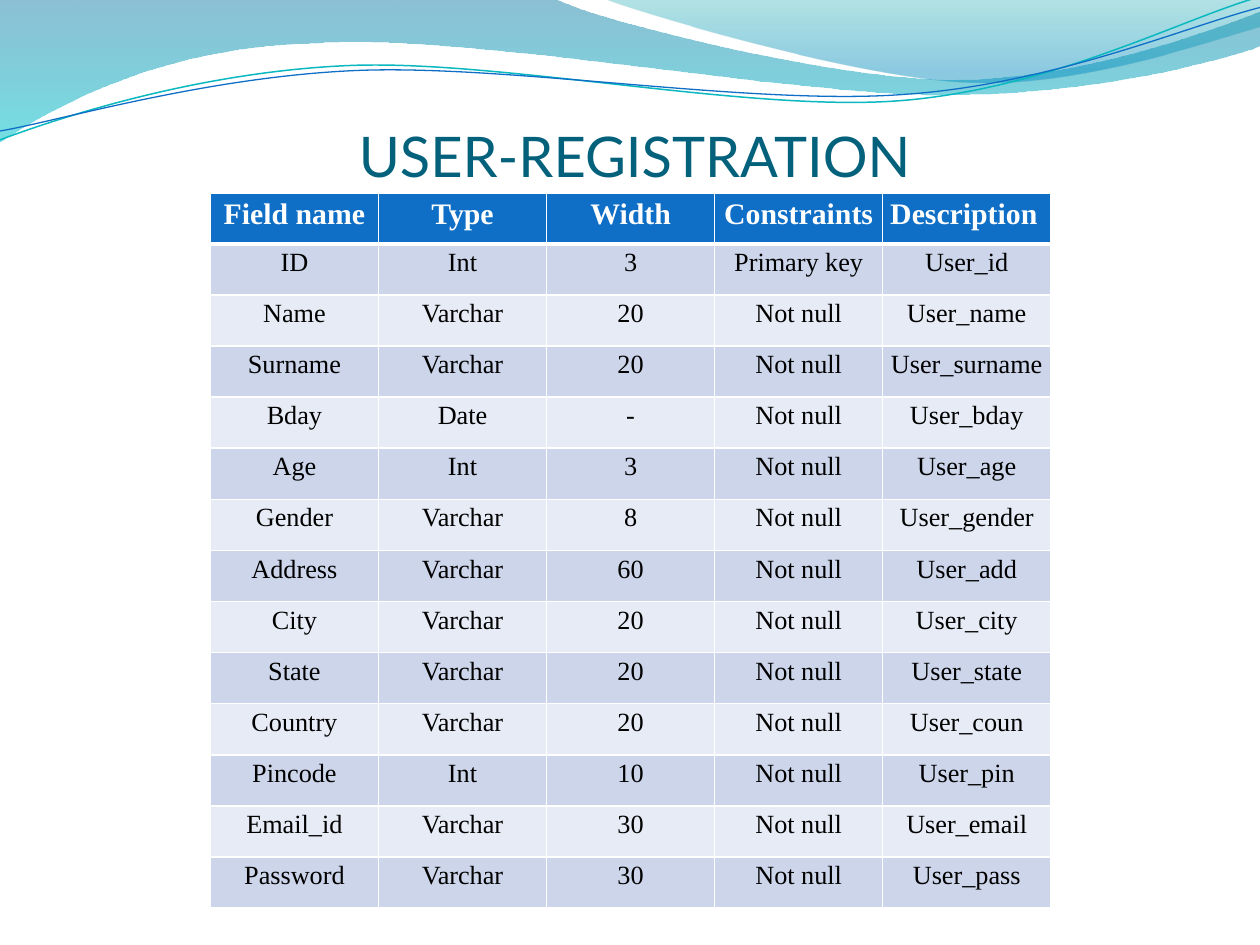
"""Build the user registration table slide with its wave header."""
from math import cos, radians, sin
from lxml.etree import SubElement
from pptx import Presentation
from pptx.dml.color import RGBColor
from pptx.enum.text import MSO_ANCHOR, PP_ALIGN
from pptx.oxml.ns import qn
from pptx.util import Inches, Pt


def color(value):
    return RGBColor.from_string(value)


def add_curve(slide, start, segments, closed, tilt=0, center=(0, 0)):
    points = [start]
    for segment in segments:
        points += zip(segment[::2], segment[1::2])
    turn = radians(tilt)
    vertices = []
    for x, y in points:
        dx, dy = x - center[0], y - center[1]
        vertices.append((
            Inches(center[0] + dx * cos(turn) - dy * sin(turn)),
            Inches(center[1] + dx * sin(turn) + dy * cos(turn)),
        ))
    builder = slide.shapes.build_freeform(*vertices[0])
    builder.add_line_segments(vertices[1:], close=closed)
    shape = builder.convert_to_shape()
    lines = iter(list(shape.element.iter(qn("a:lnTo"))))
    for segment in segments:
        line = next(lines)
        if len(segment) == 6:
            line.tag = qn("a:cubicBezTo")
            for extra in (next(lines), next(lines)):
                line.append(extra[0])
                extra.getparent().remove(extra)
    shape.rotation = -tilt
    shape.shadow.inherit = False
    return shape


presentation = Presentation()
presentation.slide_width = Inches(10)
presentation.slide_height = Inches(7.5)
slide = presentation.slides.add_slide(presentation.slide_layouts[6])

waves = [
    ((0, 0), [
        (4.4, -0.01), (4.76, 0.17, 6.64, 0.63, 7.58, 0.63),
        (8.53, 0.63, 9.58, 0.26, 10, 0.09), (10.01, 0.36),
        (9.83, 0.44, 8.7, 0.76, 7.46, 0.75),
        (6.22, 0.75, 3.82, 0.28, 2.57, 0.34),
        (1.29, 0.36, 0.46, 0.83, -0.01, 1.13),
    ], [(0, "0074A1", 45), (1, "00C6CF", 55)]),
    ((4.79, -0.01), [
        (5.09, 0.11, 6.82, 0.62, 7.69, 0.65),
        (8.56, 0.69, 9.61, 0.32, 10, 0.21), (10, 0),
    ], [(0, "00A1A9", 30), (0.8, "008BBF", 45)]),
]
for start, segments, stops in waves:
    wave = add_curve(slide, start, segments, True)
    wave.line.fill.background()
    wave.fill.gradient()
    wave.fill.gradient_angle = 270
    for stop, (position, tint, opacity) in zip(wave.fill.gradient_stops, stops):
        stop.position = position
        stop.color.rgb = color(tint)
    tints = wave.element.spPr.iter(qn("a:srgbClr"))
    for tint_element, (position, tint, opacity) in zip(tints, stops):
        SubElement(tint_element, qn("a:alpha"), val=str(opacity * 1000))

ripples = [
    ((0, 1.11), [
        (0.48, 0.93, 1.58, 0.57, 2.77, 0.52),
        (3.95, 0.47, 5.93, 0.89, 7.13, 0.8),
        (8.33, 0.71, 9.38, 0.15, 9.98, -0.02),
    ], (4.99, 0.58), "0AB8BF", 0.85),
    ((0, 1.04), [
        (0.47, 0.96, 1.64, 0.61, 2.83, 0.56),
        (4.03, 0.51, 5.97, 0.84, 7.17, 0.75),
        (8.36, 0.67, 9.41, 0.21, 10, 0.06),
    ], (5, 0.59), "0F6FC6", 0.75),
]
for start, segments, center, tint, width in ripples:
    ripple = add_curve(slide, start, segments, False, 2.7, center)
    ripple.fill.background()
    ripple.line.color.rgb = color(tint)
    ripple.line.width = Pt(width)

title = slide.shapes.add_textbox(Inches(0.5), Inches(0.77), Inches(9.08), Inches(0.73))
text_frame = title.text_frame
text_frame.word_wrap = True
text_frame.vertical_anchor = MSO_ANCHOR.BOTTOM
text_frame.margin_left = text_frame.margin_right = text_frame.margin_bottom = 0
text_frame.margin_top = Inches(0.05)
text_frame.text = "USER-REGISTRATION"
paragraph = text_frame.paragraphs[0]
paragraph.alignment = PP_ALIGN.CENTER
font = paragraph.runs[0].font
font.name = "Lato"
font.size = Pt(32)
font.color.rgb = color("04617B")

rows = [
    ("Field name", "Type", "Width", "Constraints", "Description"),
    ("ID", "Int", "3", "Primary key", "User_id"),
    ("Name", "Varchar", "20", "Not null", "User_name"),
    ("Surname", "Varchar", "20", "Not null", "User_surname"),
    ("Bday", "Date", "-", "Not null", "User_bday"),
    ("Age", "Int", "3", "Not null", "User_age"),
    ("Gender", "Varchar", "8", "Not null", "User_gender"),
    ("Address", "Varchar", "60", "Not null", "User_add"),
    ("City", "Varchar", "20", "Not null", "User_city"),
    ("State", "Varchar", "20", "Not null", "User_state"),
    ("Country", "Varchar", "20", "Not null", "User_coun"),
    ("Pincode", "Int", "10", "Not null", "User_pin"),
    ("Email_id", "Varchar", "30", "Not null", "User_email"),
    ("Password", "Varchar", "30", "Not null", "User_pass"),
]
table = slide.shapes.add_table(
    len(rows), len(rows[0]), Inches(1.67), Inches(1.53), Inches(6.67), Inches(5.68)
).table
for row_index, row in enumerate(rows):
    header = row_index == 0
    for column_index, text in enumerate(row):
        cell = table.cell(row_index, column_index)
        cell.margin_left = cell.margin_right = Inches(0.06)
        cell.margin_top = cell.margin_bottom = 0
        cell.text_frame.text = text
        paragraph = cell.text_frame.paragraphs[0]
        left_aligned = header and text == "Description"
        paragraph.alignment = PP_ALIGN.LEFT if left_aligned else PP_ALIGN.CENTER
        paragraph.line_spacing = 1.15
        font = paragraph.runs[0].font
        font.name = "Times New Roman"
        font.size = Pt(17 if header else 15)
        font.bold = header
        font.color.rgb = color("FFFFFF" if header else "000000")
        properties = cell._tc.get_or_add_tcPr()
        for side in "LRTB":
            thick = (row_index, side) in ((0, "B"), (1, "T"))
            border = SubElement(properties, qn(f"a:ln{side}"), w=str(Pt(3 if thick else 1)))
            border_fill = SubElement(border, qn("a:solidFill"))
            SubElement(border_fill, qn("a:srgbClr"), val="FFFFFF")
        cell.fill.solid()
        band = "CCD5EA" if row_index % 2 else "E7EBF5"
        cell.fill.fore_color.rgb = color("0F6FC6" if header else band)

presentation.save("out.pptx")
